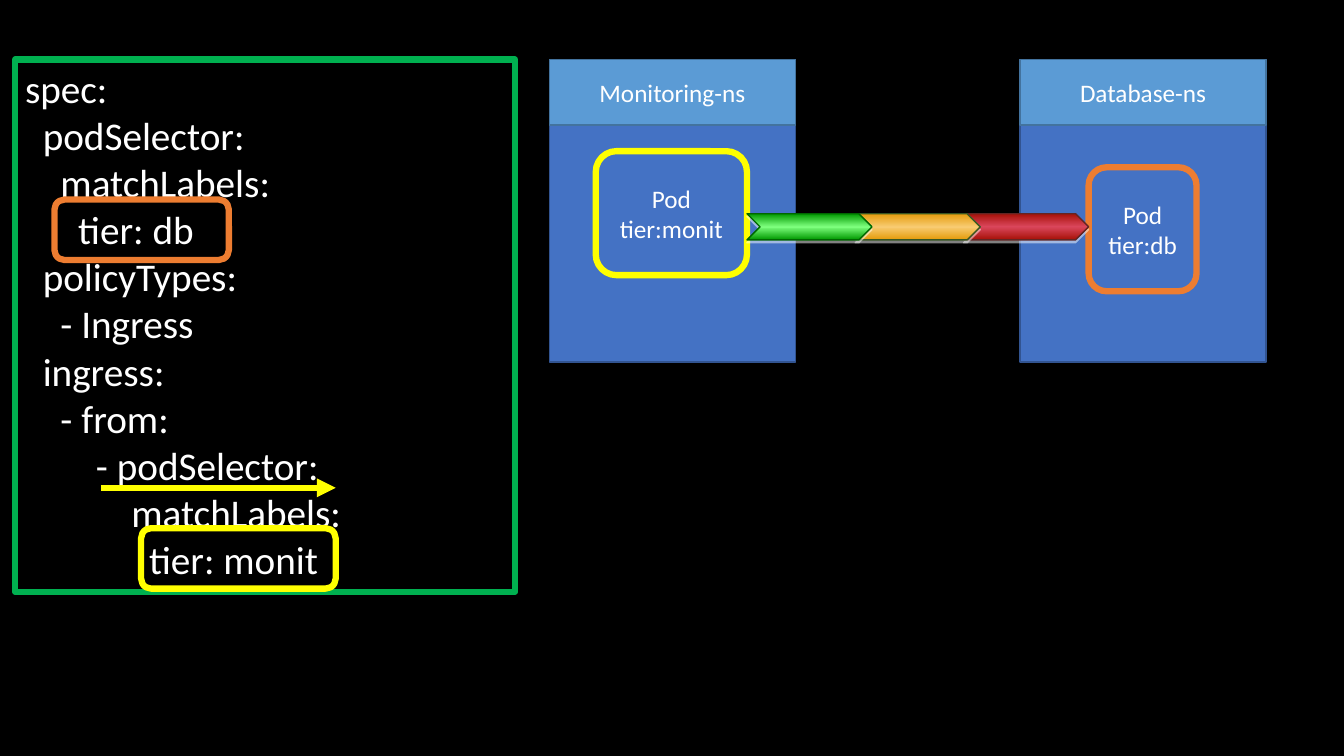
import pptx
import pptx.util
import pptx.dml.color
import pptx.enum.shapes
import pptx.enum.text
import pptx.oxml.ns
from lxml import etree

SLIDE_W, SLIDE_H = pptx.util.Inches(13.333), pptx.util.Inches(7.5)
SHAPE = pptx.enum.shapes.MSO_SHAPE
ALIGN = pptx.enum.text.PP_ALIGN
ANCHOR = pptx.enum.text.MSO_ANCHOR
YELLOW, ORANGE, GREEN, WHITE = "FFFF00", "ED7D31", "00B050", "FFFFFF"
NS_BLUE, NS_EDGE, HEAD_BLUE, HEAD_EDGE = "4472C4", "325491", "5B9BD5", "43739E"
THICK, THIN = 4.5, 1

# All lengths are percentages of the slide's width or height.
NS_TOP, NS_W, NS_H, HEAD_H = 7.87, 18.3, 40, 8.67
POD_H, MARK_H = 16.4, 8

# namespace, its left edge, pod label, pod left, top, width, pod outline
NAMESPACES = [
    ("Monitoring-ns", 40.88, "Pod tier:monit", 44.33, 20, 11.25, YELLOW),
    ("Database-ns", 75.9, "Pod tier:db", 81, 22.13, 8.03, ORANGE),
]
POLICY_BOX = (1.13, NS_TOP, 37.2, 70.4)
POLICY = [
    "spec:",
    "  podSelector:",
    "    matchLabels:",
    "      tier: db",
    "  policyTypes:",
    "    - Ingress",
    "  ingress:",
    "    - from:",
    "        - podSelector:",
    "            matchLabels:",
    "              tier: monit",
]
# left, top, width, outline
TIER_MARKS = [(4.05, 26.4, 12.98, ORANGE), (10.5, 69.87, 14.48, YELLOW)]
SELECTOR_ARROW = (7.5, 24.98, 64.53)  # from, to, height on the slide
# edge colour, middle colour, outline, in the direction of traffic
TRAFFIC = [
    ("009800", "7DFF7D", "006600"),
    ("E49B0A", "F8CB71", "385723"),
    ("A61108", "DA465B", "632523"),
]
TRAFFIC_TOP, CHEVRON_W, CHEVRON_H = 28.27, 9.3, 3.47


def x(share):
    return round(SLIDE_W * share / 100)


def y(share):
    return round(SLIDE_H * share / 100)


def rgb(value):
    return pptx.dml.color.RGBColor.from_string(value)


def child(parent, tag, **attributes):
    return etree.SubElement(parent, pptx.oxml.ns.qn("a:" + tag), **attributes)


def add_box(shapes, kind, area, outline, weight, fill=None):
    left, top, width, height = area
    box = shapes.add_shape(kind, x(left), y(top), x(width), y(height))
    box.shadow.inherit = False
    if fill:
        box.fill.solid()
        box.fill.fore_color.rgb = rgb(fill)
    else:
        box.fill.background()
    box.line.color.rgb = rgb(outline)
    box.line.width = pptx.util.Pt(weight)
    return box


def write(box, lines, size, align, anchor):
    frame = box.text_frame
    frame.word_wrap = True
    frame.vertical_anchor = anchor
    for number, line in enumerate(lines):
        paragraph = frame.add_paragraph() if number else frame.paragraphs[0]
        paragraph.alignment = align
        run = paragraph.add_run()
        run.text = line
        run.font.name = "Calibri"
        run.font.size = pptx.util.Pt(size)
        run.font.color.rgb = rgb(WHITE)


def label(box, text):
    write(box, [text], 18, ALIGN.CENTER, ANCHOR.MIDDLE)


def add_namespace(slide, name, left, pod, pod_left, pod_top, pod_w, outline):
    parts = slide.shapes.add_group_shape().shapes
    add_box(parts, SHAPE.RECTANGLE, (left, NS_TOP, NS_W, NS_H), NS_EDGE, THIN, NS_BLUE)
    head = add_box(parts, SHAPE.RECTANGLE, (left, NS_TOP, NS_W, HEAD_H),
                   HEAD_EDGE, THIN, HEAD_BLUE)
    label(head, name)
    pod_box = add_box(slide.shapes, SHAPE.ROUNDED_RECTANGLE,
                      (pod_left, pod_top, pod_w, POD_H), outline, THICK, NS_BLUE)
    label(pod_box, pod)


def add_policy(slide):
    policy = add_box(slide.shapes, SHAPE.RECTANGLE, POLICY_BOX, GREEN, THICK)
    write(policy, POLICY, 28, ALIGN.LEFT, ANCHOR.TOP)
    policy.text_frame.auto_size = pptx.enum.text.MSO_AUTO_SIZE.SHAPE_TO_FIT_TEXT
    for left, top, width, outline in TIER_MARKS:
        add_box(slide.shapes, SHAPE.ROUNDED_RECTANGLE,
                (left, top, width, MARK_H), outline, THICK)


def shade(chevron, edge, middle):
    """Fill from edge to middle to edge, with a white shadow just below."""
    chevron.fill.gradient()
    chevron.fill.gradient_angle = 270
    properties = chevron._element.spPr
    stops = properties.find(".//" + pptx.oxml.ns.qn("a:gsLst"))
    for stop in list(stops):
        stops.remove(stop)
    for position, colour in ((0, edge), (50, middle), (100, edge)):
        child(child(stops, "gs", pos=str(position * 1000)), "srgbClr", val=colour)
    effects = properties.find(pptx.oxml.ns.qn("a:effectLst"))
    shadow = child(effects, "outerShdw", blurRad="0", dist=str(pptx.util.Pt(2)),
                   dir="5400000", algn="ctr", rotWithShape="0")
    child(child(shadow, "srgbClr", val=WHITE), "alpha", val="50000")


def add_traffic(slide):
    """Chain the chevrons from pod to pod, the first one in front."""
    source, target = NAMESPACES
    start = source[3] + source[5]
    step = (target[3] - start - CHEVRON_W) / (len(TRAFFIC) - 1)
    parts = slide.shapes.add_group_shape().shapes
    for place, (edge, middle, outline) in reversed(list(enumerate(TRAFFIC))):
        area = (start + place * step, TRAFFIC_TOP, CHEVRON_W, CHEVRON_H)
        shade(add_box(parts, SHAPE.CHEVRON, area, outline, THIN), edge, middle)


def add_selector_arrow(slide):
    start, end, level = SELECTOR_ARROW
    arrow = slide.shapes.add_connector(pptx.enum.shapes.MSO_CONNECTOR.STRAIGHT,
                                       x(start), y(level), x(end), y(level))
    arrow.line.color.rgb = rgb(YELLOW)
    arrow.line.width = pptx.util.Pt(THICK)
    child(arrow.line._get_or_add_ln(), "tailEnd", type="triangle")
    child(arrow._element.spPr, "effectLst")


def main():
    deck = pptx.Presentation()
    deck.slide_width, deck.slide_height = SLIDE_W, SLIDE_H
    slide = deck.slides.add_slide(deck.slide_layouts[6])
    slide.background.fill.solid()
    slide.background.fill.fore_color.rgb = rgb("000000")
    for namespace in NAMESPACES:
        add_namespace(slide, *namespace)
    add_policy(slide)
    add_traffic(slide)
    add_selector_arrow(slide)
    deck.save("out.pptx")


if __name__ == "__main__":
    main()
